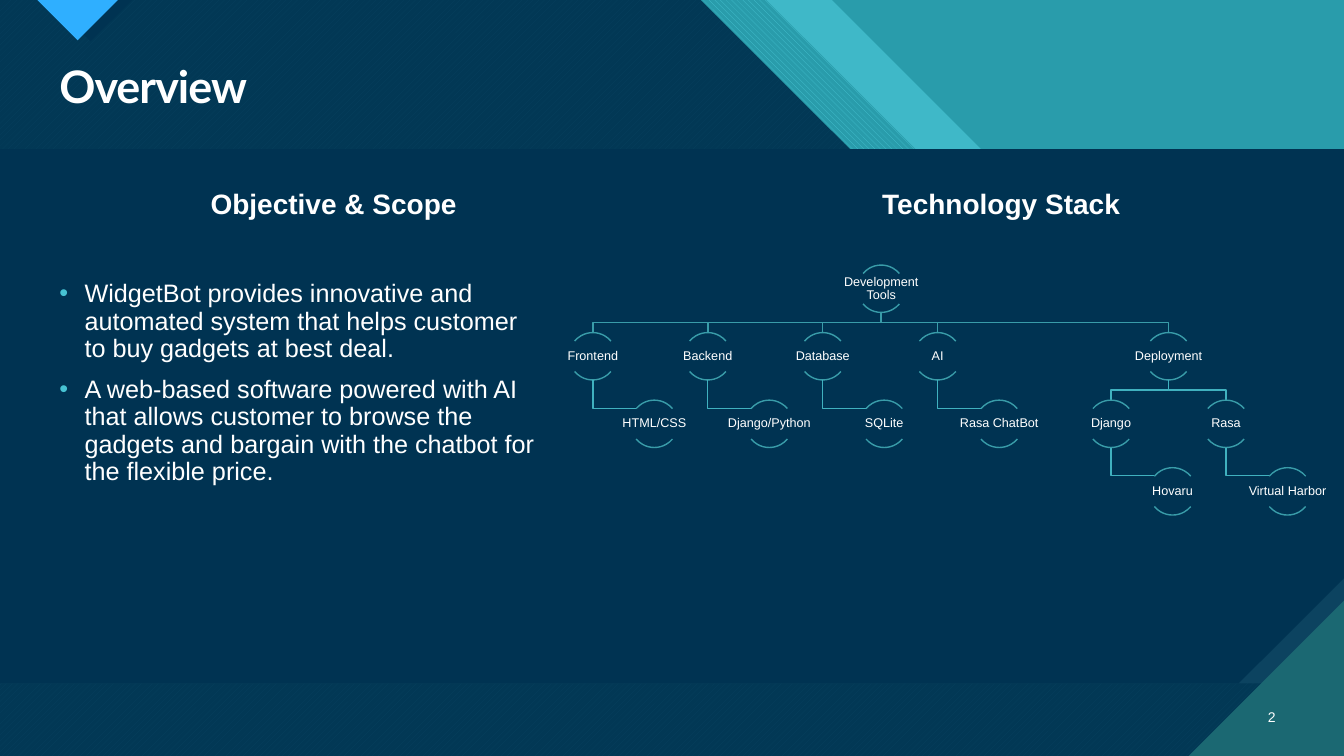
from lxml.etree import SubElement
from pptx import Presentation
from pptx.dml.color import RGBColor
from pptx.enum.dml import MSO_PATTERN as Pattern
from pptx.enum.shapes import MSO_SHAPE as Preset
from pptx.enum.text import MSO_ANCHOR as Anchor, PP_ALIGN as Align
from pptx.oxml.ns import qn
from pptx.util import Inches, Pt

NAVY, TEAL, AQUA, PINE, WHITE = "003352", "299CAB", "47C3D3", "1B6872", "FFFFFF"
NODE_LINE, HANGER_LINE = "399CA9", "40B1BF"
WIDTH, HEIGHT = 13.33, 7.5
NODE, ROW_STEP, COLUMN_STEP = 0.47, 0.67, 1.14
HANG = 0.61


def color(value):
    """Turn a hex string into a colour."""
    return RGBColor.from_string(value)


class Deck:
    """Hold the style and the current slide."""

    def __init__(self, slide, font="Arial"):
        """Keep the slide and its body font."""
        self.shapes = slide.shapes
        self.font = font

    def paint(self, shape, fill, alpha=None):
        """Fill a shape plainly, without outline or shadow."""
        shape.shadow.inherit = False
        shape.line.fill.background()
        shape.fill.solid()
        shape.fill.fore_color.rgb = color(fill)
        if alpha:
            tint = shape.fill._xPr.find(qn("a:solidFill"))[0]
            SubElement(tint, qn("a:alpha")).set("val", str(alpha * 1000))
        return shape

    def panel(self, preset, left, top, width, height, fill):
        """Add a plain preset shape."""
        box = [Inches(n) for n in (left, top, width, height)]
        return self.paint(self.shapes.add_shape(preset, *box), fill)

    def outline(self, points, close):
        """Build a freeform through points given in inches."""
        start, *rest = [(Inches(x), Inches(y)) for x, y in points]
        builder = self.shapes.build_freeform(*start)
        builder.add_line_segments(rest, close=close)
        return builder.convert_to_shape()

    def polygon(self, points, fill, alpha=None):
        """Add a plain closed polygon."""
        return self.paint(self.outline(points, True), fill, alpha)

    def hatch(self, points, pattern, fore, back):
        """Add a polygon with a pattern fill."""
        fill = self.polygon(points, fore).fill
        fill.patterned()
        fill.pattern = pattern
        fill.fore_color.rgb = color(fore)
        fill.back_color.rgb = color(back)

    def stroke(self, shape, line):
        """Leave a shape unfilled and outline it."""
        shape.shadow.inherit = False
        shape.fill.background()
        shape.line.color.rgb = color(line)
        shape.line.width = Pt(1)

    def branch(self, points, line):
        """Add an angled line of the tree."""
        self.stroke(self.outline(points, False), line)

    def text(self, box, paragraphs, size, align=Align.LEFT, anchor=Anchor.TOP,
             bold=False, font=None, inset=None, before=0, spacing=0.9,
             tracking=None, bulleted=False):
        """Add a text box with one run in each paragraph."""
        frame = self.shapes.add_textbox(*[Inches(n) for n in box]).text_frame
        frame.word_wrap = True
        frame.vertical_anchor = anchor
        if inset is not None:
            frame.margin_left = frame.margin_right = Inches(inset)
            frame.margin_top = frame.margin_bottom = Inches(inset)
        for index, words in enumerate(paragraphs):
            paragraph = frame.add_paragraph() if index else frame.paragraphs[0]
            paragraph.alignment = align
            paragraph.line_spacing = spacing
            paragraph.space_before = Pt(before)
            if bulleted:
                self.bullet(paragraph)
            run = paragraph.add_run()
            run.text = words
            run.font.name = font or self.font
            run.font.size = Pt(size)
            run.font.bold = bold
            run.font.color.rgb = color(WHITE)
            if tracking:
                run.font._element.set("spc", str(tracking))

    def bullet(self, paragraph):
        """Give a paragraph a coloured bullet and a hanging indent."""
        properties = paragraph._p.get_or_add_pPr()
        properties.set("marL", str(Inches(0.25)))
        properties.set("indent", str(Inches(-0.25)))
        tint = SubElement(properties, qn("a:buClr"))
        SubElement(tint, qn("a:srgbClr")).set("val", AQUA)
        SubElement(properties, qn("a:buFont")).set("typeface", self.font)
        SubElement(properties, qn("a:buChar")).set("char", "•")

    def node(self, center, level, label):
        """Add a tree label between an upper and a lower arc."""
        top = row_top(level)
        for angles in ((132, 192), (24, 84)):
            arc = self.shapes.add_shape(
                Preset.ARC, Inches(center - NODE / 2), Inches(top),
                Inches(NODE), Inches(NODE))
            arc.adjustments[0], arc.adjustments[1] = angles
            self.stroke(arc, NODE_LINE)
        self.text((center - 0.47, top + 0.085, 0.94, 0.3), [label], 9,
                  Align.CENTER, Anchor.MIDDLE, inset=0.01)

    def fork(self, parent, level, child, line):
        """Join a parent to a child in the row below."""
        start, end = row_top(level) + NODE, row_top(level + 1)
        middle = (start + end) / 2
        self.branch([(parent, start), (parent, middle),
                     (child, middle), (child, end)], line)

    def hanger(self, center, level, label):
        """Hang a child to the lower right of its parent."""
        start = row_top(level) + NODE
        self.branch([(center, start), (center, start + 0.28),
                     (center + 0.43, start + 0.28)], HANGER_LINE)
        self.node(center + HANG, level + 1, label)


def row_top(level):
    """Return the top of a tree row."""
    return 2.63 + ROW_STEP * level


def draw_backdrop(deck):
    """Draw the bands, the panel and the corner triangles."""
    def band(edge):
        return [(0, 0), (edge, 0), (edge + 2.97, 2.97), (edge + 4.23, 2.97),
                (WIDTH, WIDTH - edge - 1.26), (WIDTH, HEIGHT), (0, HEIGHT)]

    deck.panel(Preset.RECTANGLE, 0, 0, WIDTH, HEIGHT, TEAL)
    deck.polygon(band(8.25), AQUA, 74)
    deck.hatch(band(7.6), Pattern.WIDE_DOWNWARD_DIAGONAL, AQUA, TEAL)
    deck.hatch(band(6.95), Pattern.WIDE_UPWARD_DIAGONAL, AQUA, PINE)
    deck.polygon(band(6.95), NAVY, 90)
    deck.polygon([(0.48, 0), (1.31, 0), (0.9, 0.41)], NAVY)
    deck.polygon([(0.37, 0), (1.17, 0), (0.77, 0.4)], "2FAFFF")
    deck.panel(Preset.RECTANGLE, 0, 1.48, WIDTH, 5.3, "0C4360")
    content = deck.panel(Preset.SNIP_1_RECTANGLE, 0, 1.48, WIDTH, 5.3, NAVY)
    content.adjustments[0] = 0.197
    content._element.spPr.find(qn("a:xfrm")).set("flipV", "1")
    deck.polygon([(11.79, HEIGHT), (WIDTH, HEIGHT), (WIDTH, 5.96)], PINE)


def draw_stack(deck):
    """Draw the technology tree."""
    root, first, deployment = 8.74, 5.88, 11.59
    tools = [("Frontend", "HTML/CSS"), ("Backend", "Django/Python"),
             ("Database", "SQLite"), ("AI", "Rasa ChatBot")]
    hosts = [("Django", "Hovaru"), ("Rasa", "Virtual Harbor")]
    deck.node(root, 0, "Development Tools")
    for column, (area, tool) in enumerate(tools):
        center = first + column * COLUMN_STEP
        deck.fork(root, 0, center, NODE_LINE)
        deck.node(center, 1, area)
        deck.hanger(center, 1, tool)
    deck.fork(root, 0, deployment, NODE_LINE)
    deck.node(deployment, 1, "Deployment")
    for column, (framework, host) in enumerate(hosts):
        center = deployment + (column - 0.5) * COLUMN_STEP
        deck.fork(deployment, 1, center, HANGER_LINE)
        deck.node(center, 2, framework)
        deck.hanger(center, 2, host)


def main():
    """Build and save the overview slide."""
    presentation = Presentation()
    presentation.slide_width = Inches(WIDTH)
    presentation.slide_height = Inches(HEIGHT)
    slide = presentation.slides.add_slide(presentation.slide_layouts[6])
    slide.background.fill.solid()
    slide.background.fill.fore_color.rgb = color(AQUA)
    deck = Deck(slide)
    draw_backdrop(deck)
    deck.text((0.49, 0.59, 12.26, 0.59), ["Overview"], 32, bold=True,
              font="Lato", tracking=-70)
    deck.text((12.31, 6.91, 0.44, 0.4), ["2"], 10, Align.RIGHT,
              Anchor.MIDDLE, spacing=1)
    for left, heading in ((0.49, "Objective & Scope"), (7.11, "Technology Stack")):
        deck.text((left, 1.84, 5.64, 0.9), [heading], 20, Align.CENTER,
                  bold=True, before=10)
    deck.text((0.49, 2.74, 4.92, 4.03), [
        "WidgetBot provides innovative and automated system that helps "
        "customer to buy gadgets at best deal.",
        "A web-based software powered with AI that allows customer to browse "
        "the gadgets and bargain with the chatbot for the flexible price.",
    ], 18, before=10, bulleted=True)
    draw_stack(deck)
    presentation.save("out.pptx")


if __name__ == "__main__":
    main()
